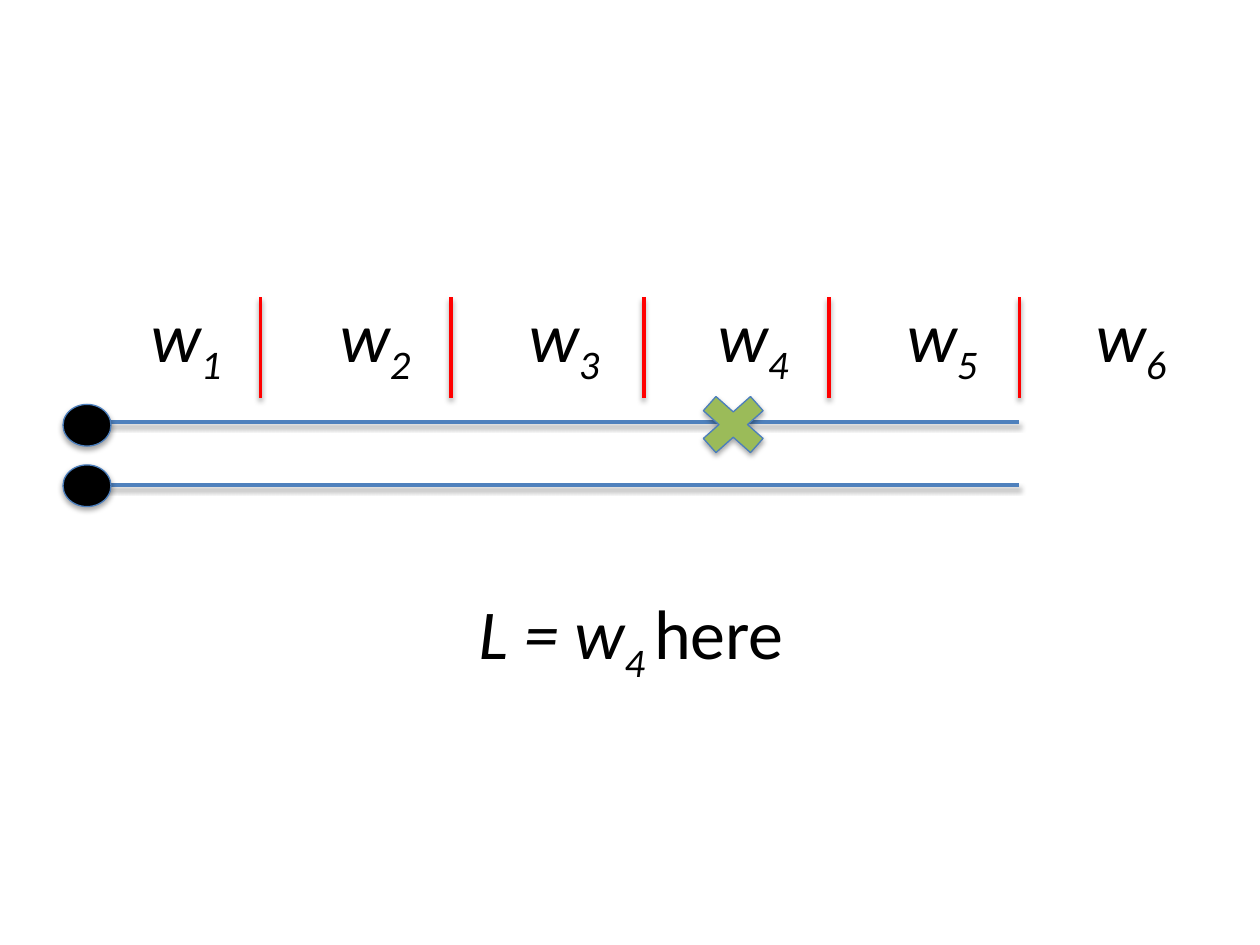
from lxml import etree
from pptx import Presentation
from pptx.dml.color import RGBColor
from pptx.enum.shapes import MSO_CONNECTOR, MSO_SHAPE
from pptx.enum.text import MSO_AUTO_SIZE
from pptx.oxml.ns import qn
from pptx.util import Pt

STRAIGHT = MSO_CONNECTOR.STRAIGHT
OVAL = MSO_SHAPE.OVAL
CROSS = MSO_SHAPE.MATH_MULTIPLY
GROW = MSO_AUTO_SIZE.SHAPE_TO_FIT_TEXT

FONT = "Calibri"
BLUE, RED, BLACK, GREEN, OUTLINE = "4F81BD", "FF0000", "000000", "9BBB59", "4B7EBC"
LINE_END = 582.5
WORD_PITCH = 108


def color(value):
    return RGBColor.from_string(value)


def add_shadow(sp, dist, opacity):
    """Soft black shadow straight below the shape; opacity in percent."""
    effects = etree.SubElement(sp._element.spPr, qn("a:effectLst"))
    shadow = etree.SubElement(
        effects, qn("a:outerShdw"), blurRad=str(Pt(3.1)), dist=str(Pt(dist)),
        dir="5400000", rotWithShape="0")
    black = etree.SubElement(shadow, qn("a:srgbClr"), val=BLACK)
    etree.SubElement(black, qn("a:alpha"), val=str(opacity * 1000))


def add_line(s, x1, y1, x2, y2, line):
    sp = s.shapes.add_connector(STRAIGHT, Pt(x1), Pt(y1), Pt(x2), Pt(y2))
    sp.line.color.rgb = color(line)
    sp.line.width = Pt(2)
    add_shadow(sp, 1.6, 38)


def add_marker(s, kind, x, y, w, h, fill):
    sp = s.shapes.add_shape(kind, Pt(x), Pt(y), Pt(w), Pt(h))
    sp.fill.solid()
    sp.fill.fore_color.rgb = color(fill)
    sp.line.color.rgb = color(OUTLINE)
    sp.line.width = Pt(0.75)
    add_shadow(sp, 1.8, 35)


def add_text_box(s, x, y, w, h):
    tf = s.shapes.add_textbox(Pt(x), Pt(y), Pt(w), Pt(h)).text_frame
    tf.word_wrap = True
    tf.auto_size = GROW
    return tf.paragraphs[0]


def add_run(p, text, italic=True, subscript=False):
    r = p.add_run()
    r.text = text
    r.font.name = FONT
    r.font.size = Pt(40)
    r.font.italic = italic
    r.font.color.rgb = color(BLACK)
    if subscript:
        r.font._element.set("baseline", "-25000")


def add_tab_stops(p, count, pitch):
    tabs = etree.SubElement(p._p.get_or_add_pPr(), qn("a:tabLst"))
    for i in range(1, count + 1):
        etree.SubElement(tabs, qn("a:tab"), pos=str(Pt(i * pitch)), algn="l")


def main():
    prs = Presentation()
    prs.slide_width, prs.slide_height = Pt(720), Pt(540)
    s = prs.slides.add_slide(prs.slide_layouts[6])

    # Upper track and word boundaries
    add_line(s, 46.8, 241.2, LINE_END, 241.2, BLUE)
    for x in (149, 257.8, 367.9, 473.8, LINE_END):
        add_line(s, x, 170, x, 227.5, RED)

    # Words, one per tab stop
    p = add_text_box(s, 79.2, 163.4, 671.8, 55.4)
    add_tab_stops(p, 5, WORD_PITCH)
    for i in range(1, 7):
        add_run(p, "w" if i == 1 else "\tw")
        add_run(p, str(i), subscript=True)

    # Lower track, start dots and the cross
    add_line(s, 46.1, 277.2, LINE_END, 277.2, BLUE)
    for y in (231.1, 265.7):
        add_marker(s, OVAL, 36, y, 27.4, 23.8, BLACK)
    add_marker(s, CROSS, 393.1, 219.6, 51.8, 46.1, GREEN)

    # Caption
    p = add_text_box(s, 266.4, 333.4, 415.4, 55.4)
    add_run(p, "L = w")
    add_run(p, "4 ", subscript=True)
    add_run(p, "here", italic=False)

    prs.save("out.pptx")


if __name__ == "__main__":
    main()
